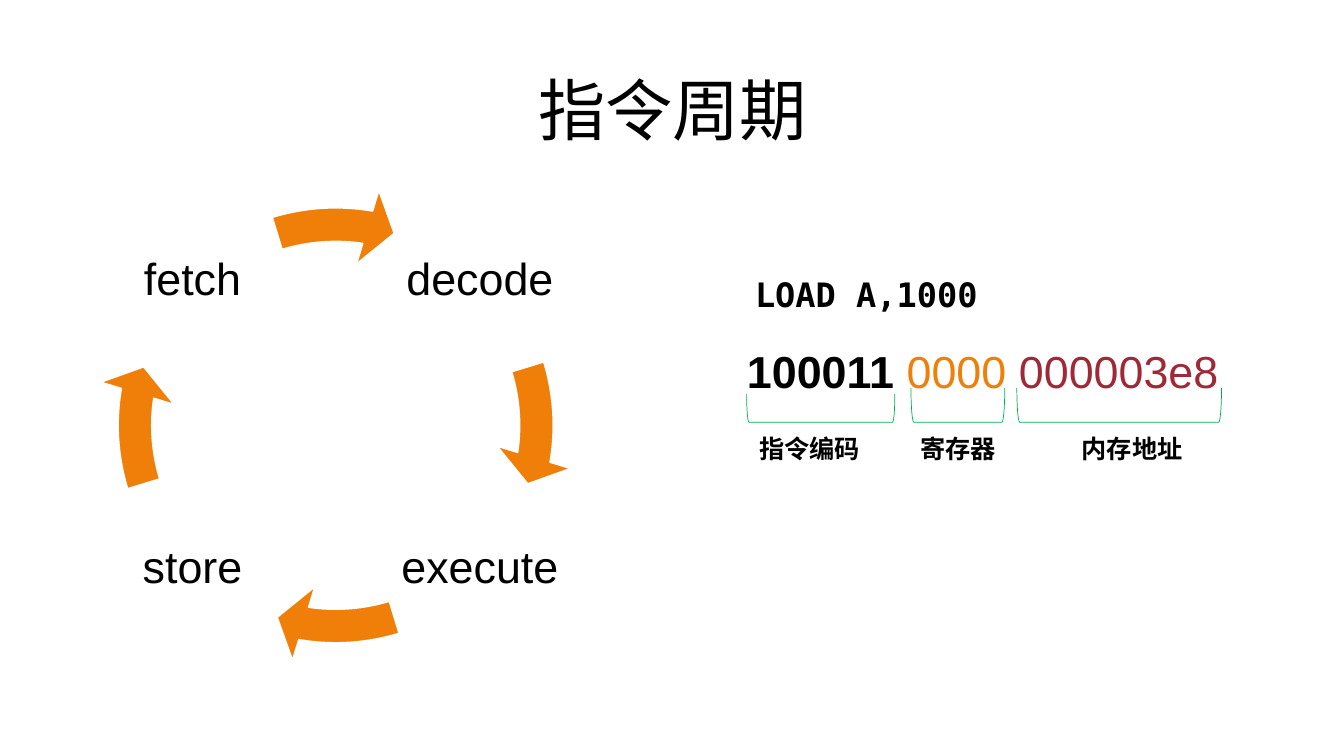
from pptx import Presentation
from pptx.dml.color import RGBColor
from pptx.enum import shapes, text
from pptx.util import Inches, Pt

BLACK, ORANGE, RED, GREEN, WHITE = "000000", "F07F09", "9F2936", "00B050", "FFFFFF"


def tint(code):
    return RGBColor.from_string(code)


def apply(item, values):
    for key, value in values.items():
        setattr(item, key, value)


class Board:
    face = "Arial"

    def __init__(self, slide):
        self.shapes = slide.shapes

    def label(self, spot, runs, size, font=None, inset=None, para=None, **frame):
        box = self.shapes.add_textbox(*map(Inches, spot))
        body = box.text_frame
        apply(body, {"word_wrap": True, **frame})
        if inset is not None:
            for side in ("left", "top", "right", "bottom"):
                setattr(body, f"margin_{side}", Inches(inset))
        line = body.paragraphs[0]
        apply(line, para or {})
        for words, color, bold in runs:
            run = line.add_run()
            run.text = words
            apply(run.font, {"name": font or self.face, "size": Pt(size), "bold": bold})
            run.font.color.rgb = tint(color)

    def shape(self, kind, spot, fill, edge, width):
        item = self.shapes.add_shape(kind, *map(Inches, spot))
        item.shadow.inherit = False
        if fill:
            item.fill.solid()
            item.fill.fore_color.rgb = tint(fill)
        else:
            item.fill.background()
        item.line.color.rgb = tint(edge)
        item.line.width = Pt(width)
        return item

    def arrow(self, step):
        kind = shapes.MSO_SHAPE.CIRCULAR_ARROW
        item = self.shape(kind, (0.96, 1.85, 4.74, 4.74), ORANGE, WHITE, 1)
        turn = 54 * step
        bends = (0.07, 4.65, 5.51 + turn, (205.84 + turn) % 216, 0.08)
        for index, bend in enumerate(bends):
            item.adjustments[index] = bend

    def bracket(self, center, span, depth, base=4.19):
        spot = (center - depth / 2, base - depth / 2 - span / 2, depth, span)
        item = self.shape(shapes.MSO_SHAPE.LEFT_BRACKET, spot, None, GREEN, 0.5)
        item.rotation = 270
        item._element.spPr.xfrm.set("flipV", "1")


def main():
    deck = Presentation()
    apply(deck, {"slide_width": Inches(13.33), "slide_height": Inches(7.5)})
    board = Board(deck.slides.add_slide(deck.slide_layouts[6]))

    center = {"alignment": text.PP_ALIGN.CENTER, "line_spacing": 0.9}
    middle = text.MSO_ANCHOR.MIDDLE
    board.label((0.92, 0.4, 11.5, 1.45), [("指令周期", BLACK, False)], 48,
                para=center, vertical_anchor=middle)

    stages = [("decode", 3.92, 1.95), ("execute", 3.92, 4.8),
              ("store", 1.07, 4.8), ("fetch", 1.07, 1.95)]
    for step, (name, left, top) in enumerate(stages):
        board.label((left, top, 1.68, 1.68), [(name, BLACK, False)], 32,
                    inset=0.04, para=center, vertical_anchor=middle)
        board.arrow(step)

    grow = text.MSO_AUTO_SIZE.SHAPE_TO_FIT_TEXT
    board.label((7.39, 2.67, 3.56, 0.5), [("LOAD A,1000", BLACK, True)], 24,
                font="DejaVu Sans Mono", auto_size=grow)
    code = [("100011 ", BLACK, True), ("0000 ", ORANGE, False), ("000003e8", RED, False)]
    board.label((7.31, 3.36, 5.15, 0.64), code, 32, word_wrap=False, auto_size=grow)

    fields = [("指令编码", 7.43, 1.22, 8.14, 1.47, 0.28),
              ("寄存器", 9.03, 0.96, 9.5, 0.93, 0.34),
              ("内存地址", 10.63, 1.22, 11.1, 2.03, 0.34)]
    for name, left, width, mid, span, depth in fields:
        board.label((left, 4.25, width, 0.4), [(name, BLACK, True)], 18,
                    word_wrap=False, auto_size=grow)
        board.bracket(mid, span, depth)

    deck.save("out.pptx")


if __name__ == "__main__":
    main()
